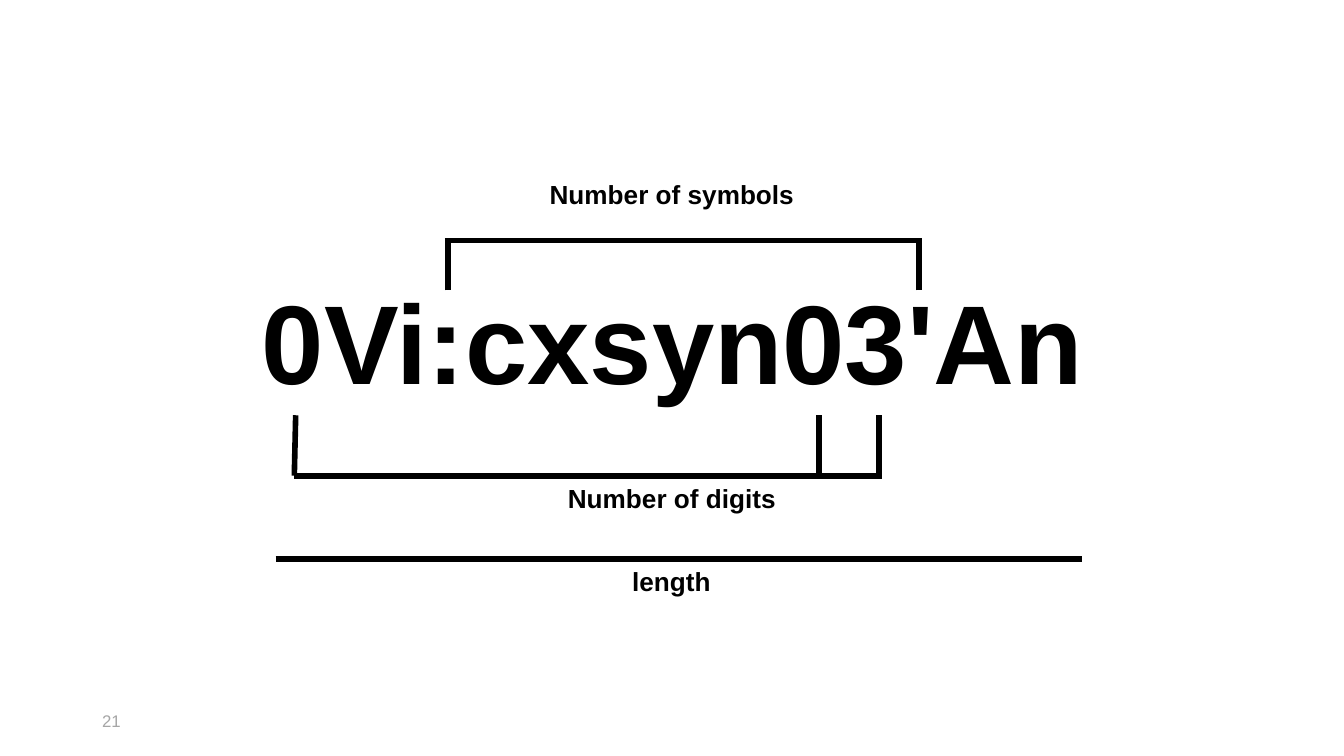
from lxml.etree import SubElement
from pptx import Presentation
from pptx.dml.color import RGBColor
from pptx.enum.shapes import MSO_CONNECTOR
from pptx.enum.text import MSO_ANCHOR, PP_ALIGN
from pptx.oxml.ns import qn
from pptx.util import Inches, Pt

BLACK = RGBColor(0x00, 0x00, 0x00)
GREY = RGBColor(0xA6, 0xA6, 0xA6)

# A 16:9 slide
deck = Presentation()
deck.slide_width = Inches(10)
deck.slide_height = deck.slide_width * 9 // 16
page = deck.slides.add_slide(deck.slide_layouts[6])

# A square grid, 100 columns across the slide
CELL = deck.slide_width // 100


def grid(*cells):
    """Turn counts of grid cells into lengths."""
    return [round(count * CELL) for count in cells]


def add_text(area, text, size, color=BLACK, bold=True, align=PP_ALIGN.LEFT, wrap=True):
    box = page.shapes.add_textbox(*grid(*area))
    frame = box.text_frame
    frame.word_wrap = wrap
    para = frame.paragraphs[0]
    para.alignment = align
    span = para.add_run()
    span.text = text
    span.font.name = "Arial"
    span.font.size = Pt(size)
    span.font.bold = bold
    span.font.color.rgb = color
    return frame


add_text((18.5, 19.8, 65.9, 11.1), "0Vi:cxsyn03'An", 60)

# Brackets: symbols above the password, digits and length below it
symbol_top, symbol_foot = 17.9, 21.6
digit_top, digit_foot = 30.9, 35.4
length_row = 41.6
strokes = [
    (33.1, symbol_top, 68.6, symbol_top),
    (21.9, digit_foot, 65.6, digit_foot),
    (20.5, length_row, 80.5, length_row),
    (21.9, digit_foot, 22, digit_top),
]
strokes += [(column, symbol_foot, column, symbol_top) for column in (33.35, 68.4)]
strokes += [(column, digit_foot, column, digit_top) for column in (60.95, 65.4)]

for stroke in strokes:
    line = page.shapes.add_connector(MSO_CONNECTOR.STRAIGHT, *grid(*stroke))
    line.line.color.rgb = BLACK
    line.line.width = Pt(3)
    SubElement(line._element.spPr, qn("a:effectLst"))

# Labels share one centre line
LABEL_CENTRE, LABEL_HEIGHT = 50, 3.4
for text, top, width, align in (
    ("Number of symbols", 12.75, 20.4, PP_ALIGN.CENTER),
    ("Number of digits", digit_foot, 17.6, PP_ALIGN.CENTER),
    ("length", length_row, 7.9, PP_ALIGN.LEFT),
):
    area = (LABEL_CENTRE - width / 2, top, width, LABEL_HEIGHT)
    add_text(area, text, 14, align=align, wrap=False)

number = add_text((6.9, 52.15, 22.5, 3), "21", 9, color=GREY, bold=False)
number.vertical_anchor = MSO_ANCHOR.MIDDLE
number.margin_left, number.margin_right = grid(0.7, 0.7)
number.margin_top, number.margin_bottom = grid(0.4, 0.4)

deck.save("out.pptx")
